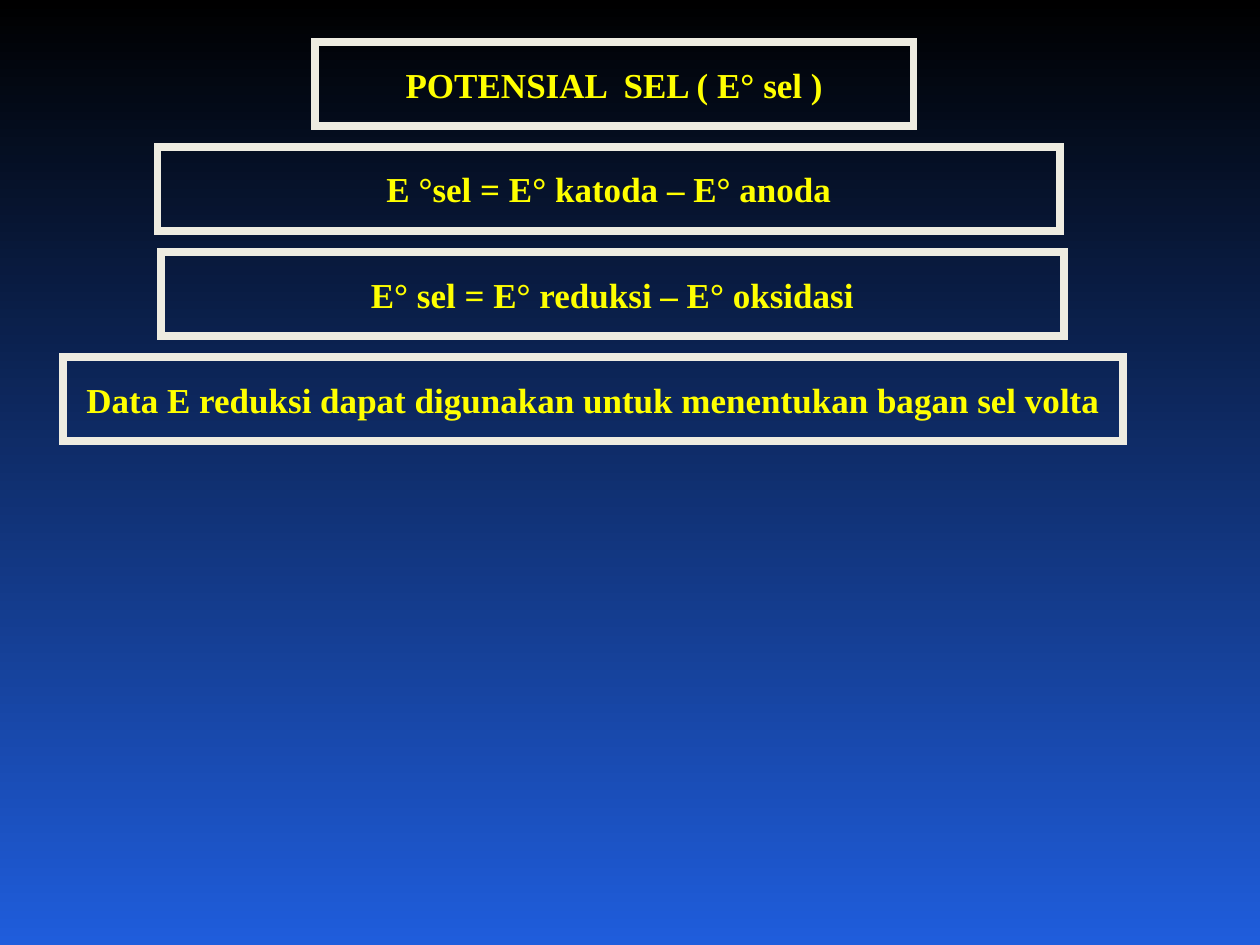
from lxml import etree
from pptx import Presentation
from pptx.dml.color import RGBColor
from pptx.enum.shapes import MSO_SHAPE
from pptx.enum.text import MSO_ANCHOR, MSO_AUTO_SIZE, PP_ALIGN
from pptx.oxml.ns import qn
from pptx.util import Pt

RECTANGLE = MSO_SHAPE.RECTANGLE
MIDDLE = MSO_ANCHOR.MIDDLE
NO_AUTOFIT = MSO_AUTO_SIZE.NONE
CENTER = PP_ALIGN.CENTER

BLACK = RGBColor(0x00, 0x00, 0x00)
BLUE = RGBColor(0x1F, 0x5D, 0xDC)
CREAM = RGBColor(0xEE, 0xEC, 0xE1)
YELLOW = RGBColor(0xFF, 0xFF, 0x00)

FIRST_TOP, ROW_PITCH, BOX_HEIGHT = 24, 60, 48

# Text, left edge and width of each box, from top to bottom
BOXES = [
    ("POTENSIAL  SEL ( E° sel )", 180, 342),
    ("E °sel = E° katoda – E° anoda", 90, 516),
    ("E° sel = E° reduksi – E° oksidasi", 92, 516),
    ("Data E reduksi dapat digunakan untuk menentukan bagan sel volta", 36, 606),
]

presentation = Presentation()
presentation.slide_width = Pt(720)
presentation.slide_height = Pt(540)
title_only_layout = presentation.slide_layouts[5]
slide = presentation.slides.add_slide(title_only_layout)

# Background: black at the top to blue at the bottom
background = slide.background.fill
background.gradient()
background.gradient_angle = 270
for stop, color, position in zip(background.gradient_stops, (BLACK, BLUE), (0, 1)):
    stop.color.rgb = color
    stop.position = position

# Framed boxes: the first is the title
for row, (text, left, width) in enumerate(BOXES):
    if row == 0:
        shape = slide.shapes.title
    else:
        shape = slide.shapes.add_shape(RECTANGLE, 0, 0, 0, 0)
        shape.shadow.inherit = False
    shape.left, shape.top = Pt(left), Pt(FIRST_TOP + row * ROW_PITCH)
    shape.width, shape.height = Pt(width), Pt(BOX_HEIGHT)

    # Frame with square corners
    shape.fill.background()
    shape.line.color.rgb = CREAM
    shape.line.width = Pt(4.5)
    outline = shape.element.spPr.find(qn("a:ln"))
    etree.SubElement(outline, qn("a:miter"), lim="800000")

    # Text
    text_frame = shape.text_frame
    text_frame.text = text
    text_frame.word_wrap = True
    text_frame.auto_size = NO_AUTOFIT
    text_frame.vertical_anchor = MIDDLE
    paragraph = text_frame.paragraphs[0]
    paragraph.alignment = CENTER
    paragraph.font.name = "Times New Roman"
    paragraph.font.size = Pt(20)
    paragraph.font.bold = True
    paragraph.font.color.rgb = YELLOW

presentation.save("out.pptx")
